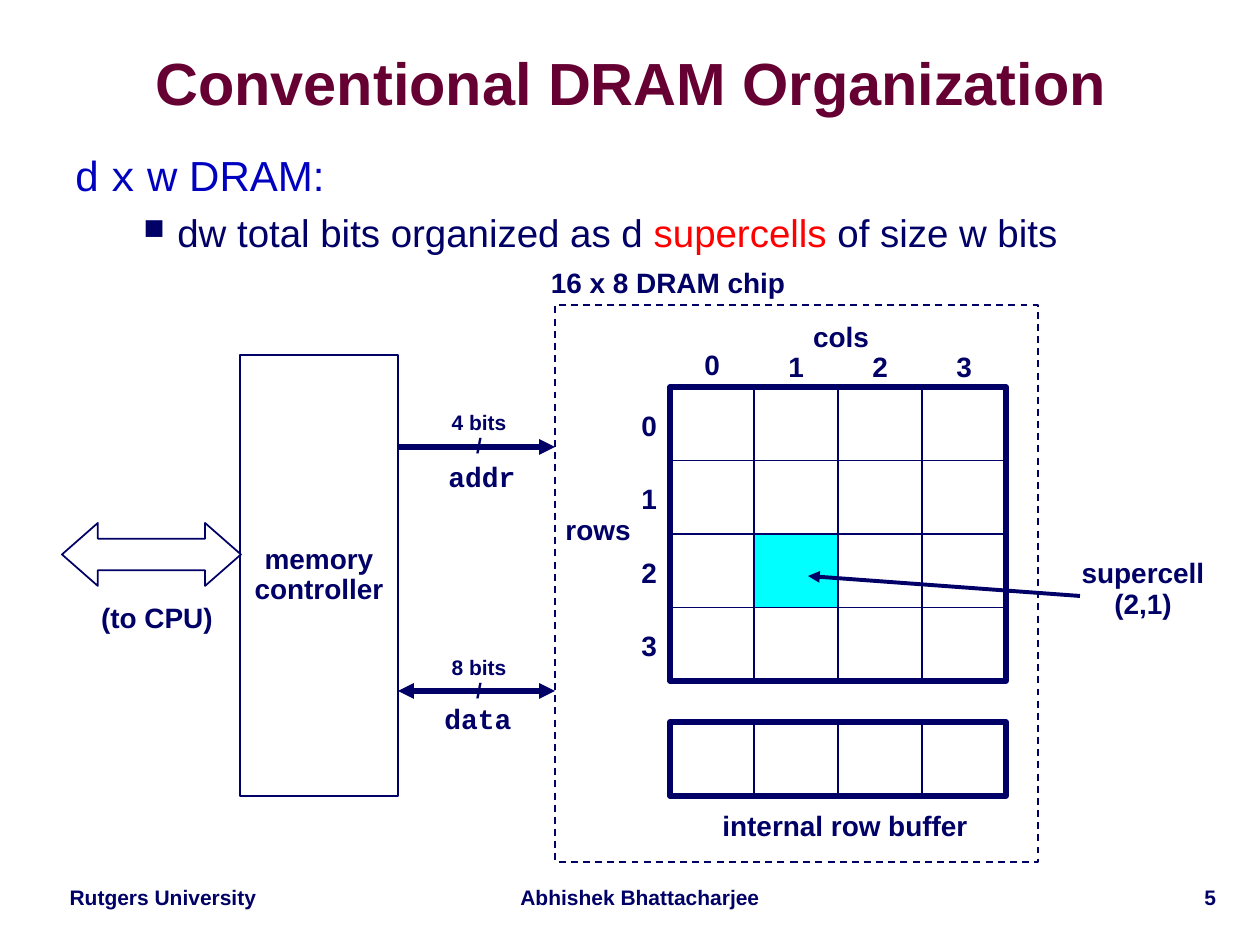
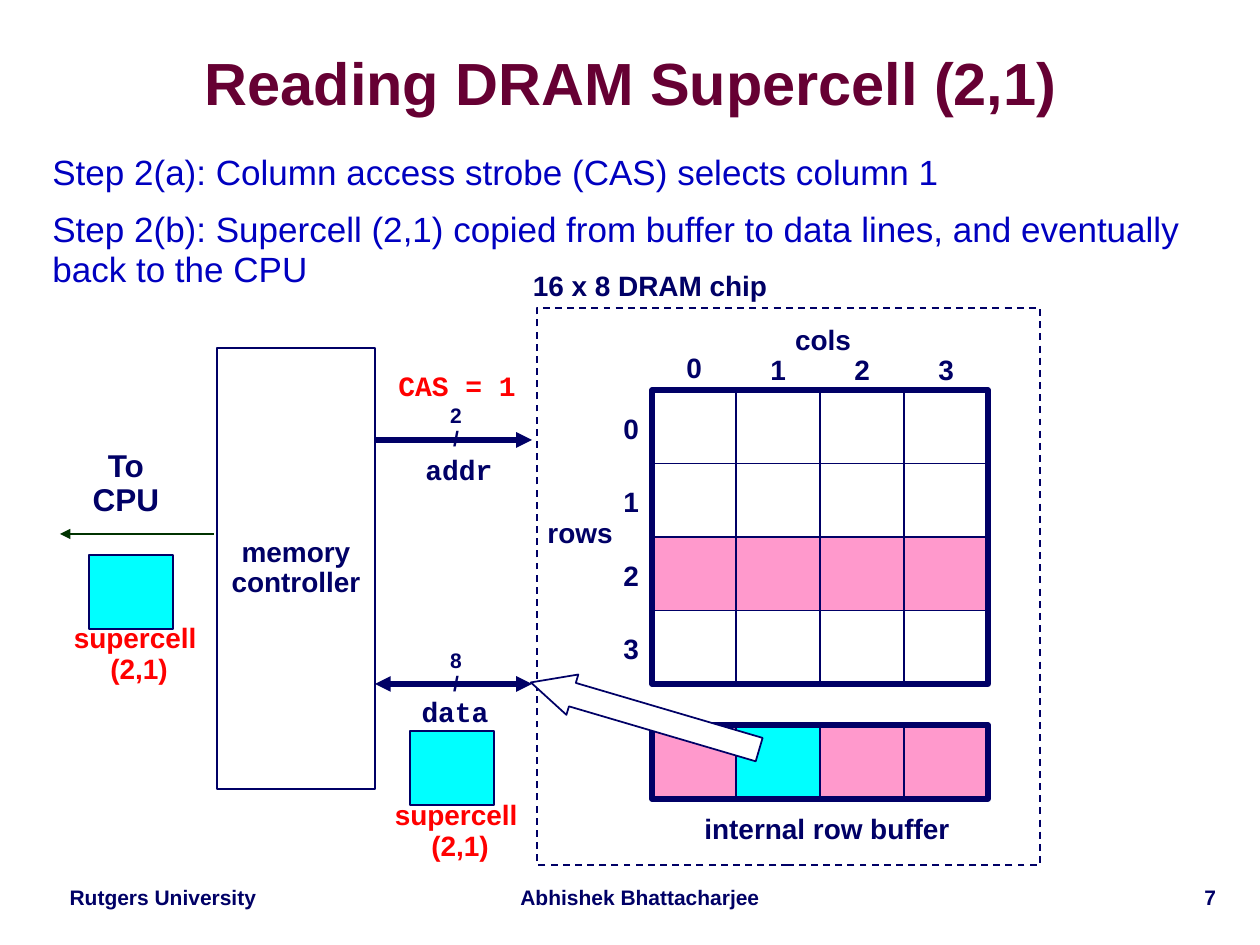
from lxml import etree
from pptx import Presentation
from pptx.dml.color import RGBColor
from pptx.enum.dml import MSO_LINE
from pptx.enum.shapes import MSO_CONNECTOR, MSO_SHAPE
from pptx.enum.text import MSO_ANCHOR, PP_ALIGN
from pptx.oxml.ns import qn
from pptx.util import Pt

PX = 914400 / 126  # EMU in one pixel
COLORS = {
    "title": "660033", "body": "0000C0", "navy": "000066", "red": "FF0000",
    "white": "FFFFFF", "cyan": "00FFFF", "pink": "FF99CC", "green": "003300",
}
MONO = "Courier New"
CELL_W, GRID_H, BUFFER_H = 84, 294, 74
GRID_W, ROW_H = 4 * CELL_W, GRID_H / 4


def write(frame, text, size=16, color="navy", font="Arial", bold=True,
          align=PP_ALIGN.CENTER, spacing=0.9):
    """Fill a text frame with unwrapped, vertically centred lines."""
    frame.word_wrap = False
    frame.vertical_anchor = MSO_ANCHOR.MIDDLE
    for i, line in enumerate(text.split("\n")):
        paragraph = frame.add_paragraph() if i else frame.paragraphs[0]
        paragraph.alignment, paragraph.line_spacing = align, spacing
        run = paragraph.add_run()
        run.text = line
        run.font.size, run.font.name, run.font.bold = Pt(size), font, bold
        run.font.color.rgb = RGBColor.from_string(COLORS[color])


def draw(slide, x, y, w, h, fill=None, weight=1, kind=MSO_SHAPE.RECTANGLE):
    """Add a navy-outlined shape, hollow when no fill is named."""
    shape = slide.shapes.add_shape(kind, *[round(v * PX) for v in (x, y, w, h)])
    shape.shadow.inherit = False
    if fill:
        shape.fill.solid()
        shape.fill.fore_color.rgb = RGBColor.from_string(COLORS[fill])
    else:
        shape.fill.background()
    shape.line.color.rgb = RGBColor.from_string(COLORS["navy"])
    shape.line.width = Pt(weight)
    return shape


# Body paragraphs: size, space before, left margin, first indent, bullet, runs
# Labels: centre x, centre y, width, text, style
# Arrows: x1, y1, x2, y2, weight, colour, two-headed
PAGES = [
    {
        "title": "Conventional DRAM Organization", "number": "5",
        "body_box": (63, 147, 1134, 607),
        "body": [
            (24, 0, 53, -53, None, [("d ", "body", "Arial"), ("x", "body", MONO),
                                    (" w DRAM:", "body", "Arial")]),
            (22, 6.5, 102, -34, "■", [
                ("dw total bits organized as d ", "navy", "Arial"),
                ("supercells", "red", "Arial"),
                (" of size w bits", "navy", "Arial")]),
        ],
        "grid": (670, 387), "chip_w": 483, "controller": (240, 355),
        "cell_fills": {(2, 1): "cyan"}, "buffer_fills": ["white"] * 4,
        "bits": ("4 bits", "8 bits"), "bits_w": 81,
        "arrows": [(1080, 596, 808, 576, 2.25, "navy", False)],
        "labels": [
            (1143, 590, 149, "supercell\n(2,1)", {}),
            (157, 619, 137, "(to CPU)", {}),
        ],
        "cells": [],
        "block_arrow": (MSO_SHAPE.LEFT_RIGHT_ARROW, (62, 523, 179, 63), 0, (0.5, 0.57)),
    },
    {
        "title": "Reading DRAM Supercell (2,1)", "number": "7",
        "body_box": (40, 147, 1188, 693),
        "body": [
            (20, 0, 0, 0, None, [
                ("Step 2(a): Column access strobe (CAS) selects column 1",
                 "body", "Arial")]),
            (20, 10, 0, 0, None, [
                ("Step 2(b): Supercell (2,1) copied from buffer to data lines, "
                 "and eventually back to the CPU", "body", "Arial")]),
        ],
        "grid": (652, 390), "chip_w": 503, "controller": (217, 348),
        "cell_fills": {(2, col): "pink" for col in range(4)},
        "buffer_fills": ["pink", "cyan", "pink", "pink"],
        "bits": ("2", "8"), "bits_w": 37,
        "arrows": [(214, 534, 60, 534, 1.5, "green", False)],
        "labels": [
            (457, 387, 144, "CAS = 1", {"color": "red", "font": MONO}),
            (460, 832, 156, "supercell \n(2,1)", {"color": "red"}),
            (139, 655, 156, "supercell \n(2,1)", {"color": "red"}),
            (126, 484, 126, "To CPU", {"size": 18}),
        ],
        "cells": [(410, 731), (89, 555)],
        "block_arrow": (MSO_SHAPE.DOWN_ARROW, (624, 597, 42, 238), 106.4, (0.58, 1.03)),
    },
]

prs = Presentation()
prs.slide_width, prs.slide_height = round(1260 * PX), round(945 * PX)

for page in PAGES:
    slide = prs.slides.add_slide(prs.slide_layouts[6])
    grid_x, grid_y = page["grid"]
    ctrl_x, ctrl_y = page["controller"]

    # Body text
    body = slide.shapes.add_textbox(*[round(v * PX) for v in page["body_box"]]).text_frame
    body.word_wrap = True
    for i, (size, before, margin, indent, bullet, runs) in enumerate(page["body"]):
        paragraph = body.add_paragraph() if i else body.paragraphs[0]
        paragraph.line_spacing, paragraph.space_before = 0.95, Pt(before)
        for text, color, font in runs:
            run = paragraph.add_run()
            run.text = text
            run.font.size, run.font.name = Pt(size), font
            run.font.color.rgb = RGBColor.from_string(COLORS[color])
        props = paragraph._p.get_or_add_pPr()
        props.set("marL", str(round(margin * PX)))
        props.set("indent", str(round(indent * PX)))
        if bullet:
            etree.SubElement(props, qn("a:buSzPct")).set("val", "75000")
            etree.SubElement(props, qn("a:buChar")).set("char", bullet)

    # DRAM chip: frame, supercell grid and row buffer
    chip = draw(slide, grid_x - 115, grid_y - 82, page["chip_w"], 557)
    chip.line.dash_style = MSO_LINE.DASH
    for row in range(4):
        for col in range(4):
            draw(slide, grid_x + col * CELL_W, grid_y + row * ROW_H, CELL_W, ROW_H,
                 page["cell_fills"].get((row, col), "white"))
    draw(slide, grid_x, grid_y, GRID_W, GRID_H, weight=3)
    buffer_y = grid_y + 335
    for col, fill in enumerate(page["buffer_fills"]):
        draw(slide, grid_x + col * CELL_W, buffer_y, CELL_W, BUFFER_H, fill)
    draw(slide, grid_x, buffer_y, GRID_W, BUFFER_H, weight=3)

    # Memory controller and its lines to the chip
    controller = draw(slide, ctrl_x, ctrl_y, 158, 441, "white")
    write(controller.text_frame, "memory\ncontroller")
    addr_y, data_y, bus_x = ctrl_y + 92, ctrl_y + 336, ctrl_x + 158
    arrows = [
        (bus_x, addr_y, bus_x + 157, addr_y, 3, "navy", False),
        (bus_x, data_y, bus_x + 157, data_y, 3, "navy", True),
    ] + page["arrows"]
    for x1, y1, x2, y2, weight, color, two_headed in arrows:
        arrow = slide.shapes.add_connector(
            MSO_CONNECTOR.STRAIGHT, *[round(v * PX) for v in (x1, y1, x2, y2)])
        arrow.line.width = Pt(weight)
        arrow.line.color.rgb = RGBColor.from_string(COLORS[color])
        for end in ["headEnd", "tailEnd"] if two_headed else ["tailEnd"]:
            etree.SubElement(arrow.line._get_or_add_ln(), qn(f"a:{end}")).set("type", "triangle")
        etree.SubElement(arrow._element.spPr, qn("a:effectLst"))

    for x, y in page["cells"]:
        draw(slide, x, y, CELL_W, BUFFER_H, "cyan")

    # Title, footer and every diagram label
    addr_bits, data_bits = page["bits"]
    labels = [
        (631, 87, 1183, page["title"], {"size": 34, "color": "title", "spacing": 0.87}),
        (163, 899, 242, "Rutgers University", {"size": 12}),
        (640, 899, 273, "Abhishek Bhattacharjee", {"size": 12}),
        (1129, 899, 199, page["number"], {"size": 12, "align": PP_ALIGN.RIGHT}),
        (grid_x - 2, grid_y - 103, 261, "16 x 8 DRAM chip", {}),
        (grid_x + 171, grid_y - 49, 82, "cols", {}),
        (grid_x - 72, grid_y + 144, 92, "rows", {}),
        (grid_x + 175, grid_y + 440, 272, "internal row buffer", {}),
        (ctrl_x + 242, addr_y + 31, 93, "addr", {"font": MONO}),
        (ctrl_x + 238, data_y + 29, 93, "data", {"font": MONO}),
        (ctrl_x + 239, addr_y - 12, page["bits_w"], addr_bits + "\n/", {"size": 12}),
        (ctrl_x + 239, data_y - 11, page["bits_w"], data_bits + "\n/", {"size": 12}),
    ] + page["labels"]
    for i in range(4):
        rise = 21 if i == 0 else 19
        labels.append((grid_x + 42 + i * CELL_W, grid_y - rise, 40, str(i), {}))
        labels.append((grid_x - 21, grid_y + 40 + i * ROW_H, 40, str(i), {}))
    for center_x, center_y, width, text, style in labels:
        line_count = text.count("\n") + 1
        height = 13 + line_count * style.get("size", 16) * 2.1
        box = slide.shapes.add_textbox(*[round(v * PX) for v in (
            center_x - width / 2, center_y - height / 2, width, height)])
        write(box.text_frame, text, **style)

    # Block arrow lies over the diagram
    kind, place, angle, adjustments = page["block_arrow"]
    block_arrow = draw(slide, *place, "white", kind=kind)
    block_arrow.rotation = angle
    for i, value in enumerate(adjustments):
        block_arrow.adjustments[i] = value

prs.save("out.pptx")
